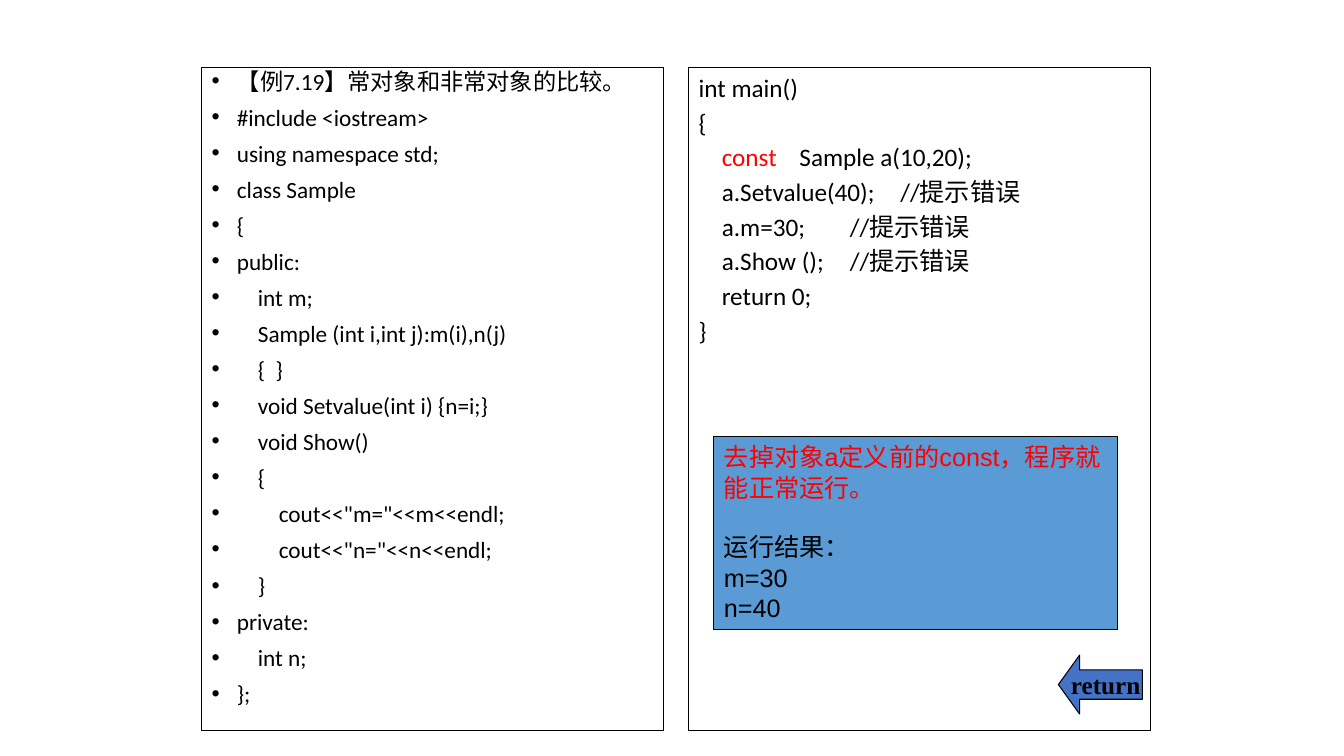
from dataclasses import dataclass, field

from lxml.etree import SubElement
from pptx import Presentation
from pptx.dml.color import RGBColor
from pptx.enum.shapes import MSO_SHAPE
from pptx.enum.text import MSO_ANCHOR, MSO_AUTO_SIZE, PP_ALIGN
from pptx.oxml.ns import qn
from pptx.util import Emu, Pt

EMU_PER_PX = 9525
BLACK = "000000"
RED = "FF0000"
BULLET_INDENT = 24
LISTING_STEP = 20
MAIN_STEP = 22


@dataclass(frozen=True)
class Run:
    text: str
    color: str = BLACK


@dataclass(frozen=True)
class Line:
    runs: tuple[Run, ...]
    margin: int = 0
    indent: int = 0
    tab: int | None = None
    format: dict = field(default_factory=dict)


@dataclass(frozen=True)
class Panel:
    left: int
    top: int
    width: int
    height: int
    lines: list[Line]
    font: dict
    paragraph: dict
    frame: dict = field(default_factory=dict)
    preset: MSO_SHAPE = MSO_SHAPE.RECTANGLE
    fill: str | None = None
    adjustments: tuple[float, ...] = ()


def px(length: int) -> Emu:
    return Emu(length * EMU_PER_PX)


def rgb(color: str) -> RGBColor:
    return RGBColor.from_string(color)


def apply_format(target, values: dict) -> None:
    for name, value in values.items():
        setattr(target, name, value)


def listing_line(level: int, text: str) -> Line:
    margin = BULLET_INDENT + LISTING_STEP * level
    return Line((Run(text),), margin, -margin)


def main_line(level: int, *runs: Run, tab: int | None = None) -> Line:
    return Line(runs, indent=MAIN_STEP * level, tab=tab)


def write_line(paragraph, line: Line, panel: Panel) -> None:
    apply_format(paragraph, panel.paragraph | line.format)
    properties = paragraph._p.get_or_add_pPr()
    properties.set("marL", str(px(line.margin)))
    properties.set("indent", str(px(line.indent)))
    if line.tab is not None:
        tabs = SubElement(properties, qn("a:tabLst"))
        SubElement(tabs, qn("a:tab"), pos=str(px(line.tab)), algn="l")
    for part in line.runs:
        run = paragraph.add_run()
        run.text = part.text
        apply_format(run.font, panel.font)
        run.font.color.rgb = rgb(part.color)


def format_panel(shape, panel: Panel) -> None:
    shape.line.color.rgb = rgb(BLACK)
    shape.line.width = Pt(0.75)
    if panel.fill:
        shape.fill.solid()
        shape.fill.fore_color.rgb = rgb(panel.fill)
    else:
        shape.fill.background()
    frame = shape.text_frame
    defaults = {
        "word_wrap": True,
        "auto_size": MSO_AUTO_SIZE.NONE,
        "vertical_anchor": MSO_ANCHOR.TOP,
    }
    apply_format(frame, defaults | panel.frame)
    for index, line in enumerate(panel.lines):
        paragraph = frame.add_paragraph() if index else frame.paragraphs[0]
        write_line(paragraph, line, panel)


def place(shape, panel: Panel) -> None:
    apply_format(shape, {
        side: px(getattr(panel, side))
        for side in ("left", "top", "width", "height")
    })


def add_panel(slide, panel: Panel) -> None:
    shape = slide.shapes.add_shape(panel.preset, 0, 0, 0, 0)
    place(shape, panel)
    shape.shadow.inherit = False
    for index, value in enumerate(panel.adjustments):
        shape.adjustments[index] = value
    format_panel(shape, panel)


LISTING = Panel(
    192, 64, 440, 632,
    [listing_line(level, text) for level, text in (
        (0, "【例7.19】常对象和非常对象的比较。"),
        (0, "#include <iostream>"),
        (0, "using namespace std;"),
        (0, "class Sample"),
        (0, "{"),
        (0, "public:"),
        (1, "int m;"),
        (1, "Sample (int i,int j):m(i),n(j)"),
        (1, "{  }"),
        (1, "void Setvalue(int i) {n=i;}"),
        (1, "void Show()"),
        (1, "{"),
        (2, 'cout<<"m="<<m<<endl;'),
        (2, 'cout<<"n="<<n<<endl;'),
        (1, "}"),
        (0, "private:"),
        (1, "int n;"),
        (0, "};"),
    )],
    font={"name": "Calibri", "size": Pt(16.6)},
    paragraph={"line_spacing": 0.8, "space_before": Pt(9.8)},
)

MAIN_FUNCTION = Panel(
    656, 64, 440, 632,
    [
        main_line(0, Run("int main()")),
        main_line(0, Run("{")),
        main_line(1, Run("const\t", RED), Run("Sample a(10,20);"), tab=91),
        main_line(1, Run("a.Setvalue(40);\t//提示错误"), tab=178),
        main_line(1, Run("a.m=30;\t//提示错误"), tab=172),
        main_line(1, Run("a.Show ();\t//提示错误"), tab=174),
        main_line(1, Run("return 0;")),
        main_line(0, Run("}")),
    ],
    font={"name": "Calibri", "size": Pt(18)},
    paragraph={"alignment": PP_ALIGN.LEFT, "space_before": Pt(3.2)},
)

RESULT = Panel(
    680, 416, 384, 184,
    [
        Line((Run("去掉对象a定义前的const，程序就能正常运行。", RED),)),
        Line((Run("运行结果："),), format={"space_before": Pt(21)}),
        Line((Run("m=30"),)),
        Line((Run("n=40"),)),
    ],
    font={"name": "Arial", "size": Pt(18)},
    paragraph={"alignment": PP_ALIGN.LEFT},
    fill="5B9BD5",
)

RETURN_ARROW = Panel(
    1008, 624, 80, 56,
    [Line((Run("return"),))],
    font={"name": "Times New Roman", "size": Pt(18), "bold": True},
    paragraph={"alignment": PP_ALIGN.CENTER},
    frame={"word_wrap": False, "vertical_anchor": MSO_ANCHOR.MIDDLE},
    preset=MSO_SHAPE.LEFT_ARROW,
    fill="4472C4",
    adjustments=(0.5, 0.36),
)


def main() -> None:
    presentation = Presentation()
    presentation.slide_width = px(1280)
    presentation.slide_height = px(720)
    slide = presentation.slides.add_slide(presentation.slide_layouts[1])
    title = slide.shapes.title.element
    title.getparent().remove(title)
    body = slide.placeholders[1]
    place(body, LISTING)
    format_panel(body, LISTING)
    for panel in (MAIN_FUNCTION, RESULT, RETURN_ARROW):
        add_panel(slide, panel)
    presentation.save("out.pptx")


if __name__ == "__main__":
    main()
